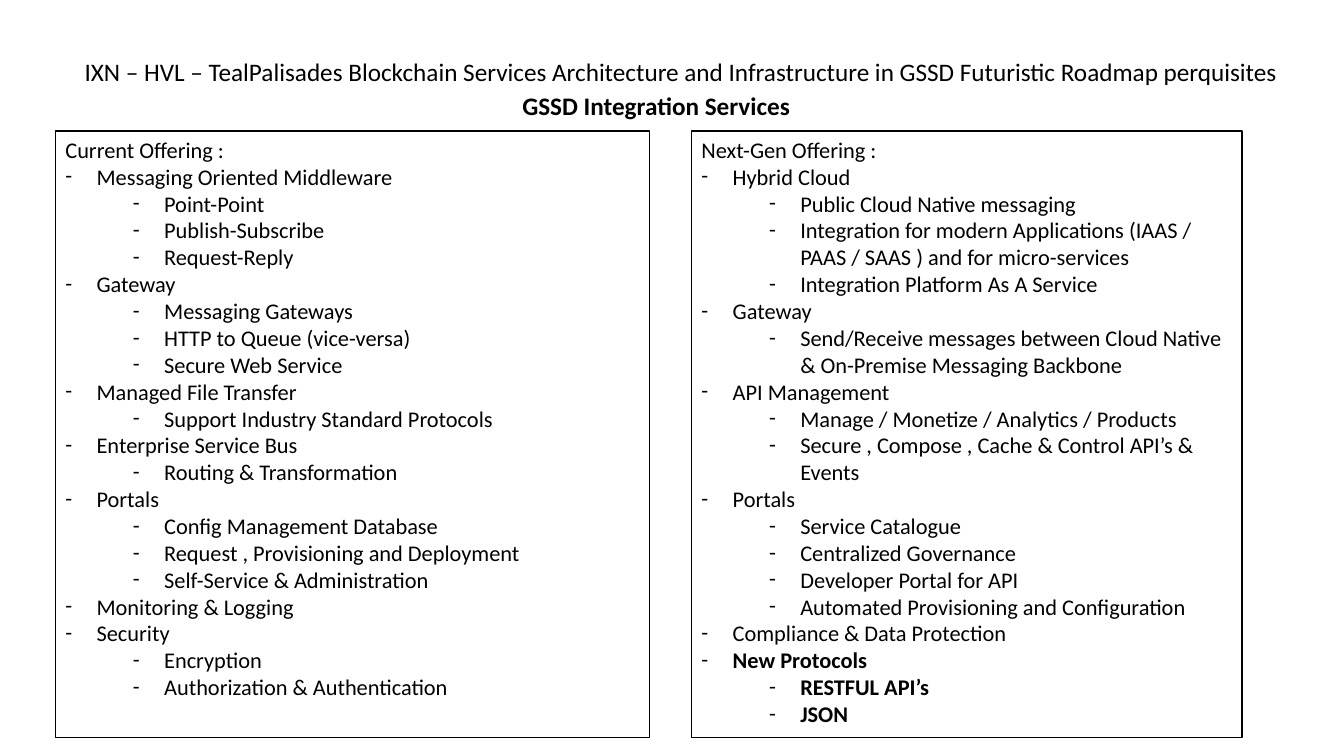
from lxml import etree
from pptx import Presentation
from pptx.dml.color import RGBColor
from pptx.enum.shapes import MSO_SHAPE
from pptx.enum.text import MSO_ANCHOR, MSO_AUTO_SIZE, PP_ALIGN
from pptx.oxml.ns import qn
from pptx.util import Inches, Pt

BLACK = RGBColor(0x00, 0x00, 0x00)
WHITE = RGBColor(0xFF, 0xFF, 0xFF)
RECTANGLE = MSO_SHAPE.RECTANGLE
TOP, MIDDLE = MSO_ANCHOR.TOP, MSO_ANCHOR.MIDDLE
LEFT = PP_ALIGN.LEFT
NO_AUTOFIT, GROW = MSO_AUTO_SIZE.NONE, MSO_AUTO_SIZE.SHAPE_TO_FIT_TEXT
TITLE_ONLY = 5

# Each offering: groups of (heading, items)
CURRENT_OFFERING = [
    ("Messaging Oriented Middleware",
     ["Point-Point", "Publish-Subscribe", "Request-Reply"]),
    ("Gateway",
     ["Messaging Gateways", "HTTP to Queue (vice-versa)",
      "Secure Web Service"]),
    ("Managed File Transfer", ["Support Industry Standard Protocols"]),
    ("Enterprise Service Bus", ["Routing & Transformation"]),
    ("Portals",
     ["Config Management Database", "Request , Provisioning and Deployment",
      "Self-Service & Administration"]),
    ("Monitoring & Logging", []),
    ("Security", ["Encryption", "Authorization & Authentication"]),
]
NEXT_GEN_OFFERING = [
    ("Hybrid Cloud",
     ["Public Cloud Native messaging",
      "Integration for modern Applications (IAAS / PAAS / SAAS ) "
      "and for micro-services",
      "Integration Platform As A Service"]),
    ("Gateway",
     ["Send/Receive messages between Cloud Native & On-Premise "
      "Messaging Backbone"]),
    ("API Management",
     ["Manage / Monetize / Analytics / Products",
      "Secure , Compose , Cache & Control API’s & Events"]),
    ("Portals",
     ["Service Catalogue", "Centralized Governance",
      "Developer Portal for API",
      "Automated Provisioning and Configuration"]),
    ("Compliance & Data Protection", []),
    ("New Protocols", ["RESTFUL API’s", "JSON"]),
]


class OfferingSlide:
    """Holds the style and the slide; places are percentages of its size."""

    font_name = "Calibri"
    heading_size = Pt(18)
    body_size = Pt(16)
    hanging = Inches(0.31)
    indents = (Inches(0.31), Inches(0.98))

    def __init__(self, presentation):
        self.width = presentation.slide_width
        self.height = presentation.slide_height
        layout = presentation.slide_layouts[TITLE_ONLY]
        self.slide = presentation.slides.add_slide(layout)

    def area(self, left, top, width, height):
        return (round(self.width * left / 100), round(self.height * top / 100),
                round(self.width * width / 100),
                round(self.height * height / 100))

    def style_runs(self, paragraph, size, bold=False):
        for run in paragraph.runs:
            run.font.name = self.font_name
            run.font.size = size
            run.font.bold = bold
            run.font.color.rgb = BLACK

    def format_heading(self, shape, text, bold=False):
        frame = shape.text_frame
        frame.text = text
        frame.word_wrap = True
        frame.auto_size = NO_AUTOFIT
        frame.vertical_anchor = MIDDLE
        paragraph = frame.paragraphs[0]
        paragraph.alignment = LEFT
        paragraph.line_spacing = 0.9
        self.style_runs(paragraph, self.heading_size, bold)

    def title(self, text, area):
        shape = self.slide.shapes.title
        shape.left, shape.top, shape.width, shape.height = self.area(*area)
        self.format_heading(shape, text, bold=True)

    def heading(self, text, area):
        shape = self.slide.shapes.add_textbox(*self.area(*area))
        self.format_heading(shape, text)

    def bullet(self, frame, text, level, bold):
        paragraph = frame.add_paragraph()
        paragraph.text = text
        paragraph.level = level
        paragraph.alignment = LEFT
        properties = paragraph._p.get_or_add_pPr()
        properties.set("marL", str(self.indents[level]))
        properties.set("indent", str(-self.hanging))
        etree.SubElement(properties, qn("a:buFont"), typeface=self.font_name)
        etree.SubElement(properties, qn("a:buChar"), char="-")
        self.style_runs(paragraph, self.body_size, bold)

    def offering(self, caption, groups, area, bold_groups=()):
        shape = self.slide.shapes.add_shape(RECTANGLE, *self.area(*area))
        shape.shadow.inherit = False
        shape.fill.solid()
        shape.fill.fore_color.rgb = WHITE
        shape.line.color.rgb = BLACK
        shape.line.width = Pt(1)
        frame = shape.text_frame
        frame.text = caption
        frame.word_wrap = True
        frame.auto_size = GROW
        frame.vertical_anchor = TOP
        frame.paragraphs[0].alignment = LEFT
        self.style_runs(frame.paragraphs[0], self.body_size)
        for group, items in groups:
            bold = group in bold_groups
            self.bullet(frame, group, 0, bold)
            for item in items:
                self.bullet(frame, item, 1, bold)


def main():
    presentation = Presentation()
    presentation.slide_width = Inches(13.33)
    presentation.slide_height = Inches(7.5)
    page = OfferingSlide(presentation)

    # Title
    page.title("GSSD Integration Services", (38.11, 4.53, 61.89, 19.33))

    # Two offerings side by side
    box_top, box_height = 17.33, 80.27
    page.offering("Current Offering :", CURRENT_OFFERING,
                  (4.13, box_top, 44.19, box_height))
    page.offering("Next-Gen Offering :", NEXT_GEN_OFFERING,
                  (51.46, box_top, 40.96, box_height),
                  bold_groups=("New Protocols",))

    # Roadmap line above the title
    page.heading("IXN – HVL – TealPalisades Blockchain Services Architecture "
                 "and Infrastructure in GSSD Futuristic Roadmap perquisites",
                 (5.55, 0, 94.45, 19.33))

    presentation.save("out.pptx")


if __name__ == "__main__":
    main()
